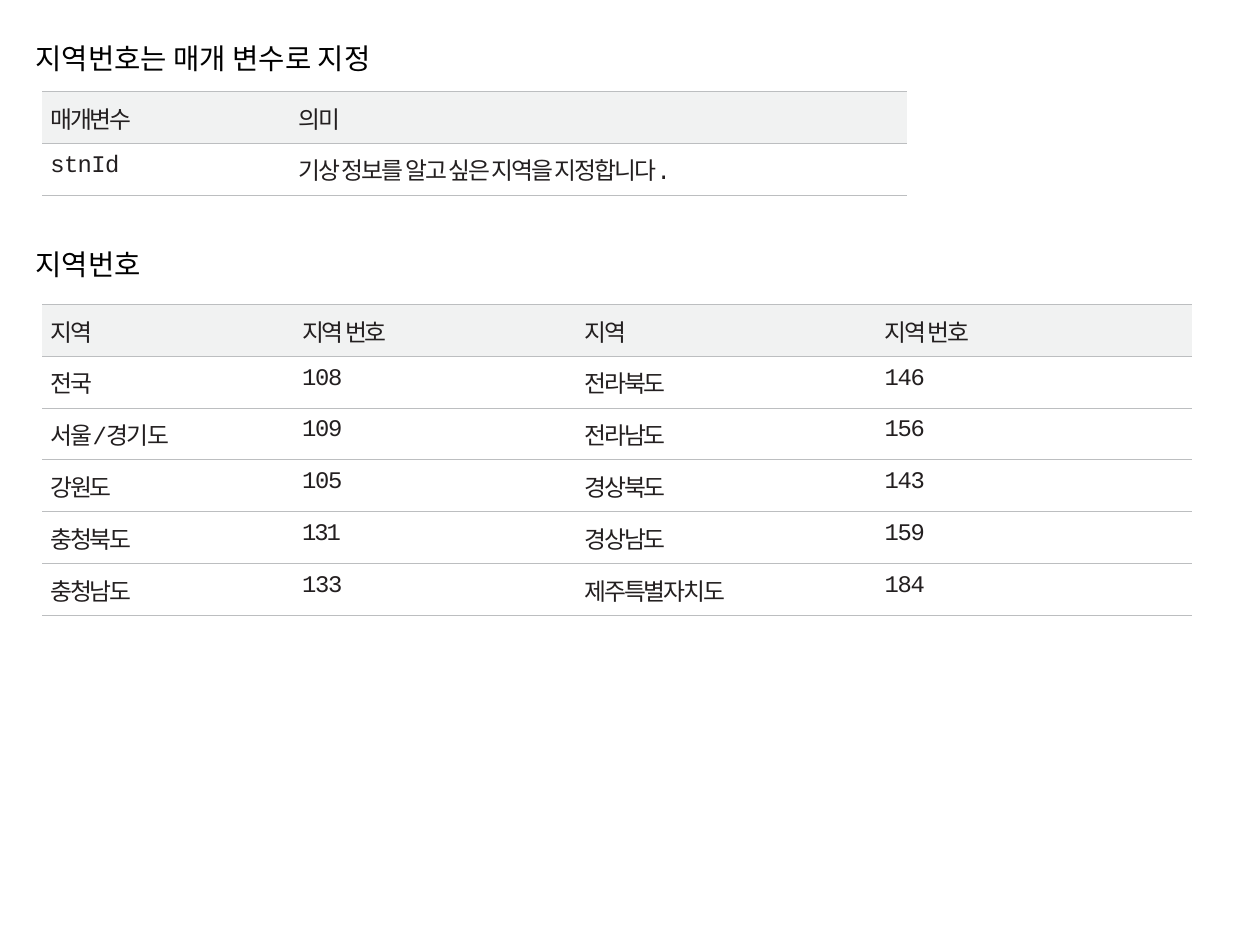
from pptx import Presentation
from pptx.dml.color import RGBColor
from pptx.enum.text import MSO_ANCHOR as Anchor, MSO_AUTO_SIZE as AutoSize, PP_ALIGN as Align
from pptx.oxml import parse_xml
from pptx.oxml.ns import nsdecls
from pptx.util import Inches, Pt

SLIDE_W, SLIDE_H = Inches(11.01), Inches(8.26)
ROW_H = Inches(0.453)
TABLE_LEFT = Inches(0.37)
HEADING_LEFT = Inches(0.31)
BLACK = RGBColor(0x00, 0x00, 0x00)
INK = RGBColor(0x23, 0x1F, 0x20)
HEADER_FILL = RGBColor(0xF1, 0xF2, 0xF2)
RULE = RGBColor(0xBC, 0xBE, 0xC0)
PLAIN_STYLE = "{2D5ABB26-0587-4C30-8999-92F81FD0307C}"

HEADING_FONT = {"name": "Arial", "size": Pt(18), "bold": False}
CELL_FONT = {"name": "Courier New", "size": Pt(15), "bold": False}
HEADING_FRAME = {"margin_left": 0, "margin_top": 0, "margin_right": 0, "margin_bottom": 0,
                 "word_wrap": True, "auto_size": AutoSize.NONE, "vertical_anchor": Anchor.TOP}
CELL_BOX = {"margin_left": 0, "margin_top": Inches(0.08), "margin_right": 0,
            "margin_bottom": 0, "vertical_anchor": Anchor.TOP}

# Letter spacing in hundredths of a point; other cells follow their script
HANGUL_TRACKING, LATIN_TRACKING = -140, -80
SENTENCE = "기상 정보를 알고 싶은 지역을 지정합니다."
TRACKING = {"stnId": -40, "131": -130, "서울/경기도": -110, "지역 번호": -130, SENTENCE: -125}

PARAMETERS = [("매개변수", "의미"), ("stnId", SENTENCE)]
REGIONS = [
    ("지역", "지역 번호", "지역", "지역 번호"),
    ("전국", "108", "전라북도", "146"),
    ("서울/경기도", "109", "전라남도", "156"),
    ("강원도", "105", "경상북도", "143"),
    ("충청북도", "131", "경상남도", "159"),
    ("충청남도", "133", "제주특별자치도", "184"),
]


def apply(target, values):
    for attribute, value in values.items():
        setattr(target, attribute, value)


def write(paragraph, text, font, color):
    run = paragraph.add_run()
    run.text = text
    apply(run.font, font)
    run.font.color.rgb = color
    return run


def format_heading(heading, text, top):
    apply(heading, {"left": HEADING_LEFT, "top": int(SLIDE_H * top),
                    "width": int(SLIDE_W * 0.94), "height": Inches(0.54)})
    apply(heading.text_frame, HEADING_FRAME)
    paragraph = heading.text_frame.paragraphs[0]
    apply(paragraph, {"alignment": Align.JUSTIFY, "line_spacing": 1.5})
    write(paragraph, text, HEADING_FONT, BLACK)


def add_rules(cell):
    """Draw hairlines above and below a cell."""
    properties = cell._tc.get_or_add_tcPr()
    for side in ("lnT", "lnB"):
        properties.append(parse_xml(
            f'<a:{side} {nsdecls("a")} w="{Pt(0.5)}"><a:solidFill>'
            f'<a:srgbClr val="{RULE}"/></a:solidFill></a:{side}>'))


def fill_cell(cell, text, indent, is_header):
    apply(cell, CELL_BOX)
    add_rules(cell)
    if is_header:
        cell.fill.solid()
        cell.fill.fore_color.rgb = HEADER_FILL
    else:
        cell.fill.background()
    paragraph = cell.text_frame.paragraphs[0]
    paragraph.space_before = Pt(3)
    paragraph._p.get_or_add_pPr().set("marL", str(Inches(indent)))
    run = write(paragraph, text, CELL_FONT, INK)
    by_script = LATIN_TRACKING if text.isascii() else HANGUL_TRACKING
    run._r.get_or_add_rPr().set("spc", str(TRACKING.get(text, by_script)))


def add_ruled_table(slide, rows, top, widths, indents):
    frame = slide.shapes.add_table(len(rows), len(widths), TABLE_LEFT, int(SLIDE_H * top),
                                   Inches(sum(widths)), ROW_H * len(rows))
    table = frame.table
    apply(table, {"first_row": False, "horz_banding": False})
    table._tbl.tblPr[0].text = PLAIN_STYLE
    for column, width in zip(table.columns, widths):
        column.width = Inches(width)
    for r, row in enumerate(rows):
        table.rows[r].height = ROW_H
        for c, text in enumerate(row):
            fill_cell(table.cell(r, c), text, indents[c], r == 0)


def main():
    deck = Presentation()
    apply(deck, {"slide_width": SLIDE_W, "slide_height": SLIDE_H})
    slide = deck.slides.add_slide(deck.slide_layouts[5])

    # Request parameter
    format_heading(slide.shapes.title, "지역번호는 매개 변수로 지정", 0.0254)
    add_ruled_table(slide, PARAMETERS, 0.0967, (1.74, 5.82), (0.07, 0.5))

    # Region codes
    region_heading = slide.shapes.add_textbox(0, 0, 0, 0)
    format_heading(region_heading, "지역번호", 0.2434)
    add_ruled_table(slide, REGIONS, 0.322, (1.84, 2.42, 2.74, 3.05), (0.07, 0.43, 0.48, 0.36))

    deck.save("out.pptx")


main()
